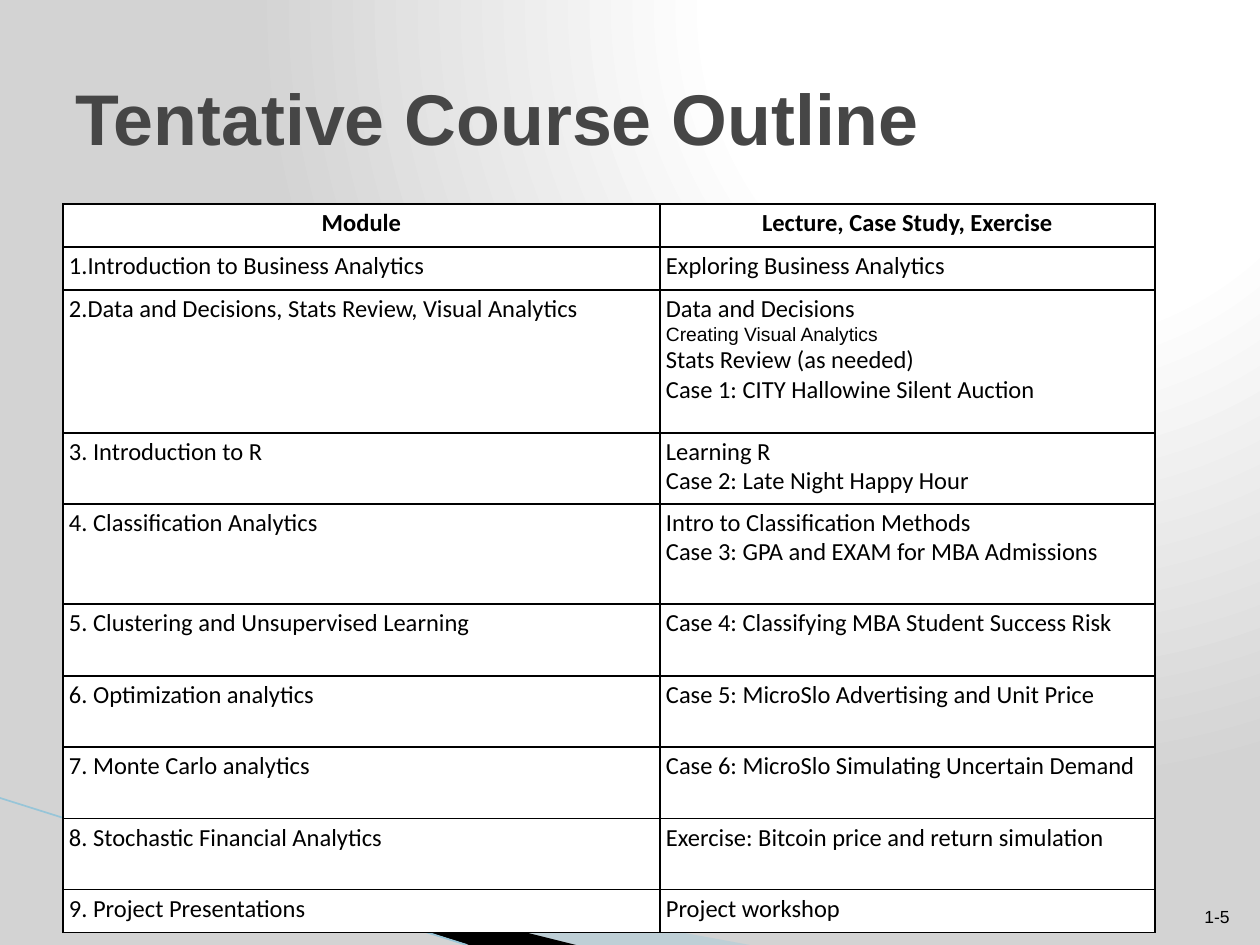
from dataclasses import dataclass

from lxml import etree
from pptx import Presentation
from pptx.dml.color import RGBColor
from pptx.enum.shapes import MSO_CONNECTOR
from pptx.enum.text import MSO_ANCHOR, PP_ALIGN
from pptx.oxml import parse_xml
from pptx.oxml.ns import nsdecls, qn
from pptx.util import Emu, Pt

STRAIGHT = MSO_CONNECTOR.STRAIGHT
MIDDLE, BOTTOM, TOP = MSO_ANCHOR.MIDDLE, MSO_ANCHOR.BOTTOM, MSO_ANCHOR.TOP
LEFT, CENTER, RIGHT = PP_ALIGN.LEFT, PP_ALIGN.CENTER, PP_ALIGN.RIGHT

EMU_PER_PX = 914400 / 126
SLIDE_WIDTH, SLIDE_HEIGHT = 1260, 945


@dataclass(frozen=True)
class Theme:
    white: str = "FFFFFF"
    black: str = "000000"
    backdrop: str = "D3D3D3"
    title: str = "464646"
    pale_wedge: str = "A0CBDC"
    edge: str = "97C5D8"
    heading_font: str = "Arial"
    table_font: str = "Calibri"
    title_size: int = 41
    table_size: int = 14
    small_size: int = 11
    number_size: int = 10
    border_width: float = 1
    edge_width: float = 0.95


THEME = Theme()


@dataclass(frozen=True)
class Style:
    font: str
    size: int
    color: str = THEME.black
    bold: bool = False
    align: PP_ALIGN = LEFT


TITLE = Style(THEME.heading_font, THEME.title_size, THEME.title, bold=True)
NUMBER = Style(THEME.heading_font, THEME.number_size, align=RIGHT)
HEADER = Style(THEME.table_font, THEME.table_size, bold=True, align=CENTER)
BODY = Style(THEME.table_font, THEME.table_size)
SMALL = Style(THEME.heading_font, THEME.small_size)


@dataclass(frozen=True)
class Line:
    text: str
    style: Style = BODY
    number: int = 0  # automatic list number, 0 for none


@dataclass(frozen=True)
class Row:
    height: int
    module: Line
    activities: tuple[Line, ...]


@dataclass(frozen=True)
class Wedge:
    points: tuple[tuple[int, int], ...]
    color: str
    opacity: int = 100


WEDGES = (
    Wedge(((69, 820), (750, 945), (575, 945), (69, 819)), THEME.pale_wedge, 40),
    Wedge(((67, 818), (576, 945), (469, 945), (68, 819)), THEME.black),
)

COLUMN_WIDTHS = (597, 495)
ROWS = (
    Row(43, Line("Module", HEADER), (Line("Lecture, Case Study, Exercise", HEADER),)),
    Row(43, Line("Introduction to Business Analytics", number=1),
        (Line("Exploring Business Analytics"),)),
    Row(143, Line("Data and Decisions, Stats Review, Visual Analytics", number=2),
        (Line("Data and Decisions"),
         Line("Creating Visual Analytics", SMALL),
         Line("Stats Review (as needed)"),
         Line("Case 1: CITY Hallowine Silent Auction"))),
    Row(71, Line("3. Introduction to R"),
        (Line("Learning R"), Line("Case 2: Late Night Happy Hour"))),
    Row(100, Line("4. Classification Analytics"),
        (Line("Intro to Classification Methods"),
         Line("Case 3: GPA and EXAM for MBA Admissions"))),
    Row(72, Line("5. Clustering and Unsupervised Learning"),
        (Line("Case 4: Classifying MBA Student Success Risk"),)),
    Row(71, Line("6. Optimization analytics"),
        (Line("Case 5: MicroSlo Advertising and Unit Price"),)),
    Row(72, Line("7. Monte Carlo analytics"),
        (Line("Case 6: MicroSlo Simulating Uncertain Demand"),)),
    Row(71, Line("8. Stochastic Financial Analytics"),
        (Line("Exercise: Bitcoin price and return simulation"),)),
    Row(43, Line("9. Project Presentations"), (Line("Project workshop"),)),
)


def px(length: float) -> Emu:
    return Emu(round(length * EMU_PER_PX))


def rgb(color: str) -> RGBColor:
    return RGBColor.from_string(color)


def set_background(slide) -> None:
    """Fill the slide with a round gradient centred at the upper right."""
    slide.background.fill.solid()
    solid = slide.element.find(".//" + qn("a:solidFill"))
    stops = ((0, THEME.white), (40, THEME.white), (100, THEME.backdrop))
    stop_xml = "".join(
        f'<a:gs pos="{place * 1000}"><a:srgbClr val="{color}"/></a:gs>'
        for place, color in stops)
    solid.getparent().replace(solid, parse_xml(
        f'<a:gradFill {nsdecls("a")} rotWithShape="1"><a:gsLst>{stop_xml}</a:gsLst>'
        '<a:path path="circle"><a:fillToRect l="65000" b="98000"/></a:path>'
        '</a:gradFill>'))


def add_wedge(slide, wedge: Wedge) -> None:
    start, *others = wedge.points
    builder = slide.shapes.build_freeform(*start, scale=EMU_PER_PX)
    builder.add_line_segments(others, close=True)
    shape = builder.convert_to_shape()
    shape.shadow.inherit = False
    shape.line.fill.background()
    shape.fill.solid()
    shape.fill.fore_color.rgb = rgb(wedge.color)
    if wedge.opacity < 100:
        color = shape.fill._xPr.find(".//" + qn("a:srgbClr"))
        etree.SubElement(color, qn("a:alpha"), val=str(wedge.opacity * 1000))


def add_edge(slide) -> None:
    edge = slide.shapes.add_connector(STRAIGHT, px(0), px(798), px(467), px(945))
    edge.line.color.rgb = rgb(THEME.edge)
    edge.line.width = Pt(THEME.edge_width)
    etree.SubElement(edge._element.spPr, qn("a:effectLst"))


def write_lines(frame, lines: tuple[Line, ...]) -> None:
    for index, line in enumerate(lines):
        paragraph = frame.add_paragraph() if index else frame.paragraphs[0]
        paragraph.alignment = line.style.align
        if line.number:
            properties = paragraph._p.get_or_add_pPr()
            properties.set("marL", "0")
            properties.set("indent", "0")
            etree.SubElement(properties, qn("a:buAutoNum"),
                             type="arabicPeriod", startAt=str(line.number))
        run = paragraph.add_run()
        run.text = line.text
        run.font.name = line.style.font
        run.font.size = Pt(line.style.size)
        run.font.bold = line.style.bold
        run.font.color.rgb = rgb(line.style.color)


def add_text(slide, box: tuple[int, int, int, int], anchor: MSO_ANCHOR, line: Line) -> None:
    frame = slide.shapes.add_textbox(*map(px, box)).text_frame
    frame.word_wrap = True
    frame.vertical_anchor = anchor
    write_lines(frame, (line,))


def fill_cell(cell, lines: tuple[Line, ...]) -> None:
    cell.margin_left = cell.margin_right = px(6)
    cell.margin_top = cell.margin_bottom = px(4)
    cell.vertical_anchor = TOP
    properties = cell._tc.get_or_add_tcPr()
    for side in ("lnL", "lnR", "lnT", "lnB"):
        border = etree.SubElement(properties, qn(f"a:{side}"), w=str(Pt(THEME.border_width)))
        solid = etree.SubElement(border, qn("a:solidFill"))
        etree.SubElement(solid, qn("a:srgbClr"), val=THEME.black)
    cell.fill.solid()
    cell.fill.fore_color.rgb = rgb(THEME.white)
    write_lines(cell.text_frame, lines)


def add_outline_table(slide) -> None:
    size = sum(COLUMN_WIDTHS), sum(row.height for row in ROWS)
    table = slide.shapes.add_table(
        len(ROWS), len(COLUMN_WIDTHS), px(63), px(204), *map(px, size)).table
    table.first_row = table.horz_banding = False
    for column, width in zip(table.columns, COLUMN_WIDTHS):
        column.width = px(width)
    for index, row in enumerate(ROWS):
        table.rows[index].height = px(row.height)
        fill_cell(table.cell(index, 0), (row.module,))
        fill_cell(table.cell(index, 1), row.activities)


def main() -> None:
    presentation = Presentation()
    presentation.slide_width, presentation.slide_height = px(SLIDE_WIDTH), px(SLIDE_HEIGHT)
    slide = presentation.slides.add_slide(presentation.slide_layouts[6])
    set_background(slide)
    for wedge in WEDGES:
        add_wedge(slide, wedge)
    add_edge(slide)
    add_outline_table(slide)
    add_text(slide, (63, 38, 1134, 158), MIDDLE, Line("Tentative Course Outline", TITLE))
    add_text(slide, (1155, 883, 87, 50), BOTTOM, Line("1-5", NUMBER))
    presentation.save("out.pptx")


if __name__ == "__main__":
    main()
